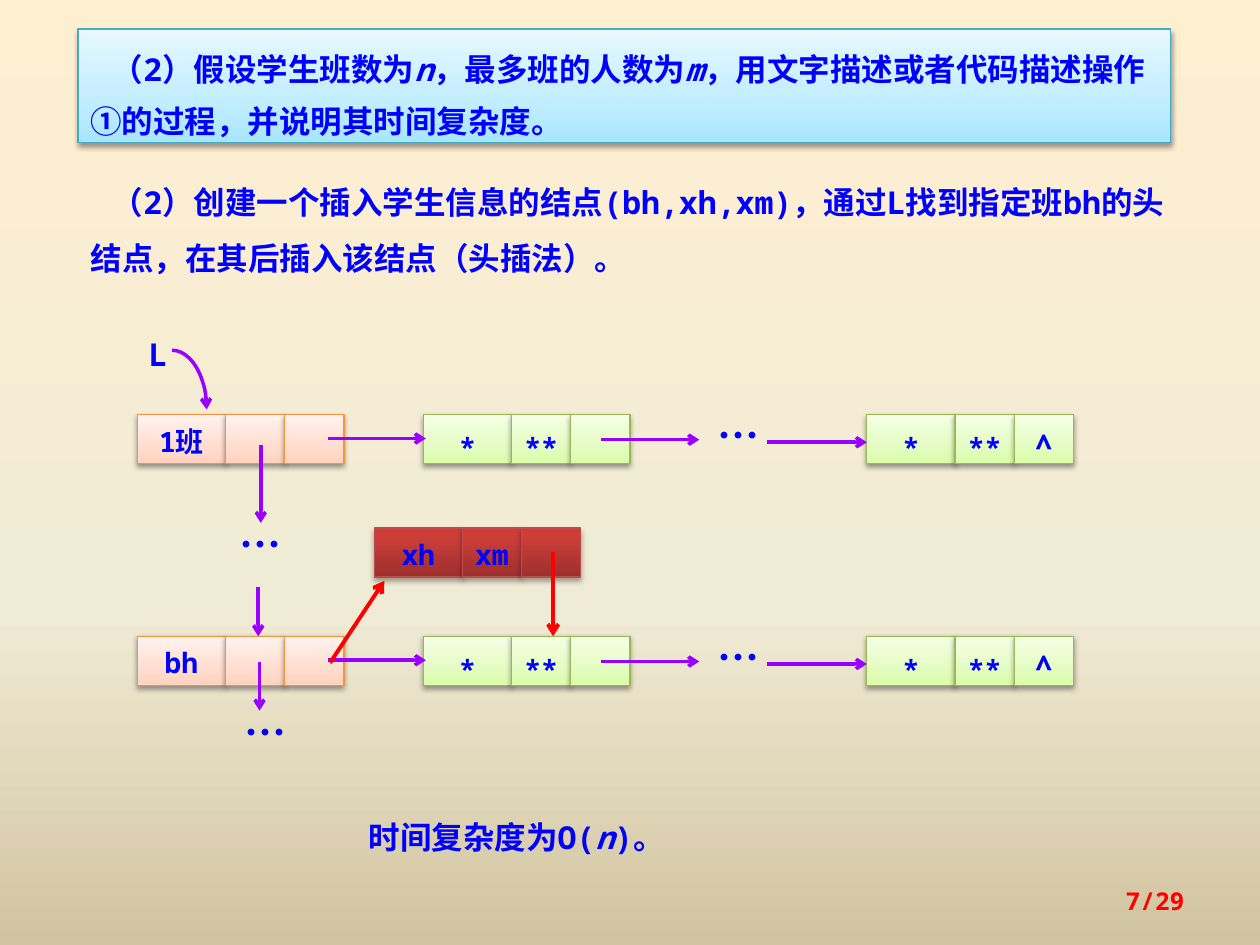
from dataclasses import dataclass

import lxml.etree
import pptx
import pptx.dml.color
import pptx.enum.dml
import pptx.enum.shapes
import pptx.enum.text
import pptx.oxml.ns
import pptx.util

Inches = pptx.util.Inches
Pt = pptx.util.Pt
qn = pptx.oxml.ns.qn
Shape = pptx.enum.shapes.MSO_SHAPE
Align = pptx.enum.text.PP_ALIGN
Anchor = pptx.enum.text.MSO_ANCHOR


@dataclass(frozen=True)
class Theme:
    """Colours, fonts and type sizes; a box style is (stops, line, shadow)."""
    ink: str = "0000FF"
    link: str = "9900FF"
    mark: str = "FF0000"
    mono: str = "Noto Sans Mono"
    sans: str = "Noto Sans CJK SC"
    body: int = 18
    cell: int = 16
    dots: int = 24
    page: int = 14
    back: tuple = ((0, "FFEFD1"), (65, "F0EBD5"), (100, "D1C39F"))
    sky: tuple = (((0, "A7E6FF"), (35, "C1EDFF"), (100, "E7F8FF")),
                  "46AAC5", (1.6, 38))
    peach: tuple = (((0, "FFD2BD"), (35, "FFDED0"), (100, "FFF2ED")),
                    "F69240", (1.6, 38))
    lime: tuple = (((0, "DAFDA7"), (35, "E4FCC2"), (100, "F5FFE7")),
                   "98B955", (1.6, 38))
    brick: tuple = (((0, "9C2F2D"), (80, "CB3E3A"), (100, "CE3B37")),
                    "BF4C48", (1.8, 35))


THEME = Theme()
WIDTHS = (0.7, 0.47, 0.47)
HIGH = 0.39


def tint(code):
    """Turn a hex code into a colour."""
    return pptx.dml.color.RGBColor.from_string(code)


def add(base, tag, **attrs):
    """Append a drawing element with the given attributes."""
    return lxml.etree.SubElement(base, qn(tag), **attrs)


def shade(fill, root, stops, angle):
    """Give a fill a linear gradient with any number of stops."""
    fill.gradient()
    fill.gradient_angle = angle
    ramp = root.find(".//" + qn("a:gsLst"))
    for old in list(ramp):
        ramp.remove(old)
    for place, code in stops:
        stop = add(ramp, "a:gs", pos=str(place * 1000))
        add(stop, "a:srgbClr", val=code)


def write(shape, text, size, align=Align.LEFT, space=1.1, font=THEME.mono,
          color=THEME.ink, indent=0, anchor=Anchor.TOP, inset=0.1):
    """Fill a shape with one bold paragraph; every second part is italic."""
    frame = shape.text_frame
    frame.word_wrap = True
    frame.vertical_anchor = anchor
    frame.margin_left = frame.margin_right = Inches(inset)
    para = frame.paragraphs[0]
    para.alignment = align
    para.line_spacing = space
    parts = [text] if isinstance(text, str) else text
    for spot, part in enumerate(parts):
        run = para.add_run()
        run.text = part
        if spot % 2:
            run.font.italic = True
    face = para.font
    face.name, face.size, face.bold = font, Pt(size), True
    face.color.rgb = tint(color)
    props = para._p.get_or_add_pPr()
    props.set("indent", str(Inches(indent)))
    add(props.find(qn("a:defRPr")), "a:ea", typeface=THEME.sans)


def label(home, x, y, w, h, text, size, **style):
    """Place a text box."""
    write(home.add_textbox(*map(Inches, (x, y, w, h))), text, size, **style)


def box(home, x, y, w, h, look):
    """Place a shaded rectangle with a soft shadow."""
    stops, line, (drop, alpha) = look
    shape = home.add_shape(Shape.RECTANGLE, *map(Inches, (x, y, w, h)))
    shape.shadow.inherit = False
    shade(shape.fill, shape.element, stops, 90)
    shape.line.color.rgb = tint(line)
    shape.line.width = Pt(0.75)
    cast = add(shape.element.spPr.find(qn("a:effectLst")), "a:outerShdw",
               blurRad=str(Pt(3.1)), dist=str(Pt(drop)), dir="5400000",
               rotWithShape="0")
    add(add(cast, "a:srgbClr", val="000000"), "a:alpha",
        val=str(alpha * 1000))
    return shape


def node(home, x, y, look, texts):
    """Draw a list node: three touching cells."""
    for wide, text in zip(WIDTHS, texts):
        cell = box(home, x, y, wide, HIGH, look)
        if text:
            write(cell, text, THEME.cell, align=Align.CENTER, inset=0,
                  space=1.5 if "*" in text else 1.1, anchor=Anchor.MIDDLE)
        x += wide


def point(line, color, width):
    """Style a line and put an open arrowhead at its end."""
    line.color.rgb = tint(color)
    line.width = Pt(width)
    add(line._get_or_add_ln(), "a:tailEnd", type="arrow")


def arrow(home, x1, y1, x2, y2, color=THEME.link, width=2):
    """Draw a straight arrow."""
    kind = pptx.enum.shapes.MSO_CONNECTOR.STRAIGHT
    link = home.add_connector(kind, *map(Inches, (x1, y1, x2, y2)))
    point(link.line, color, width)
    add(link.element.spPr, "a:effectLst")


def dots(home, x, y):
    """Place an ellipsis for the nodes left out."""
    label(home, x, y, 0.63, 0.55, "…", THEME.dots, font=THEME.sans)


def chain(home, y, name):
    """Draw a class head and its row of student nodes."""
    mid = y + 0.2
    node(home, 1.09, y, THEME.peach, (name, "", ""))
    node(home, 3.36, y, THEME.lime, ("*", "**", ""))
    node(home, 6.88, y, THEME.lime, ("*", "**", "∧"))
    dots(home, 5.6, y - 0.13)
    for start, end, drop in ((2.6, 3.38, -0.01), (4.77, 5.55, 0),
                             (6.09, 6.88, 0.02)):
        arrow(home, start, mid + drop, end, mid + drop)


def lists(home):
    """Draw the linked lists and the pointer L."""
    label(home, 1.02, 2.58, 0.47, 0.42, "L", THEME.body, align=Align.CENTER)
    curve = home.add_shape(Shape.ARC, *map(Inches, (1.09, 2.78, 0.55, 0.94)))
    curve.shadow.inherit = False
    curve.fill.background()
    point(curve.line, THEME.link, 2)
    for y, name in ((3.29, "1班"), (5.05, "bh")):
        chain(home, y, name)
    for x, top, end in ((2.07, 3.53, 4.15), (2.05, 4.66, 5.05),
                        (2.06, 5.25, 5.64)):
        arrow(home, x, top, x, end)
    dots(home, 1.8, 4.03)
    dots(home, 1.84, 5.52)


def main():
    """Build and save the slide."""
    deck = pptx.Presentation()
    deck.slide_width, deck.slide_height = Inches(10), Inches(7.5)
    slide = deck.slides.add_slide(deck.slide_layouts[6])
    shade(slide.background.fill, slide.element, THEME.back, 270)
    home = slide.shapes
    label(home, 0.62, 1.25, 8.91, 1.01,
          "（2）创建一个插入学生信息的结点(bh,xh,xm)，通过L找到指定班bh"
          "的头结点，在其后插入该结点（头插法）。",
          THEME.body, space=1.5, indent=0.17)
    task = box(home, 0.62, 0.23, 8.67, 0.9, THEME.sky)
    write(task, ("（2）假设学生班数为", "n", "，最多班的人数为", "m",
                 "，用文字描述或者代码描述操作①的过程，并说明其时间复杂度。"),
          THEME.body, space=Pt(30), indent=0.17)
    lists(home.add_group_shape().shapes)
    node(home.add_group_shape().shapes, 2.97, 4.19, THEME.brick,
         ("xh", "xm", ""))
    label(home, 2.81, 6.41, 2.58, 0.41, ("时间复杂度为O(", "n", ")。"),
          THEME.body, align=Align.CENTER)
    arrow(home, 4.39, 4.38, 4.39, 5.05, THEME.mark, 2.25)
    arrow(home, 2.62, 5.26, 3.05, 4.61, THEME.mark, 2.25)
    label(home, 7.17, 6.95, 2.33, 0.4, "7/29", THEME.page, align=Align.RIGHT,
          space=1.0, color=THEME.mark, anchor=Anchor.MIDDLE)
    deck.save("out.pptx")


main()
